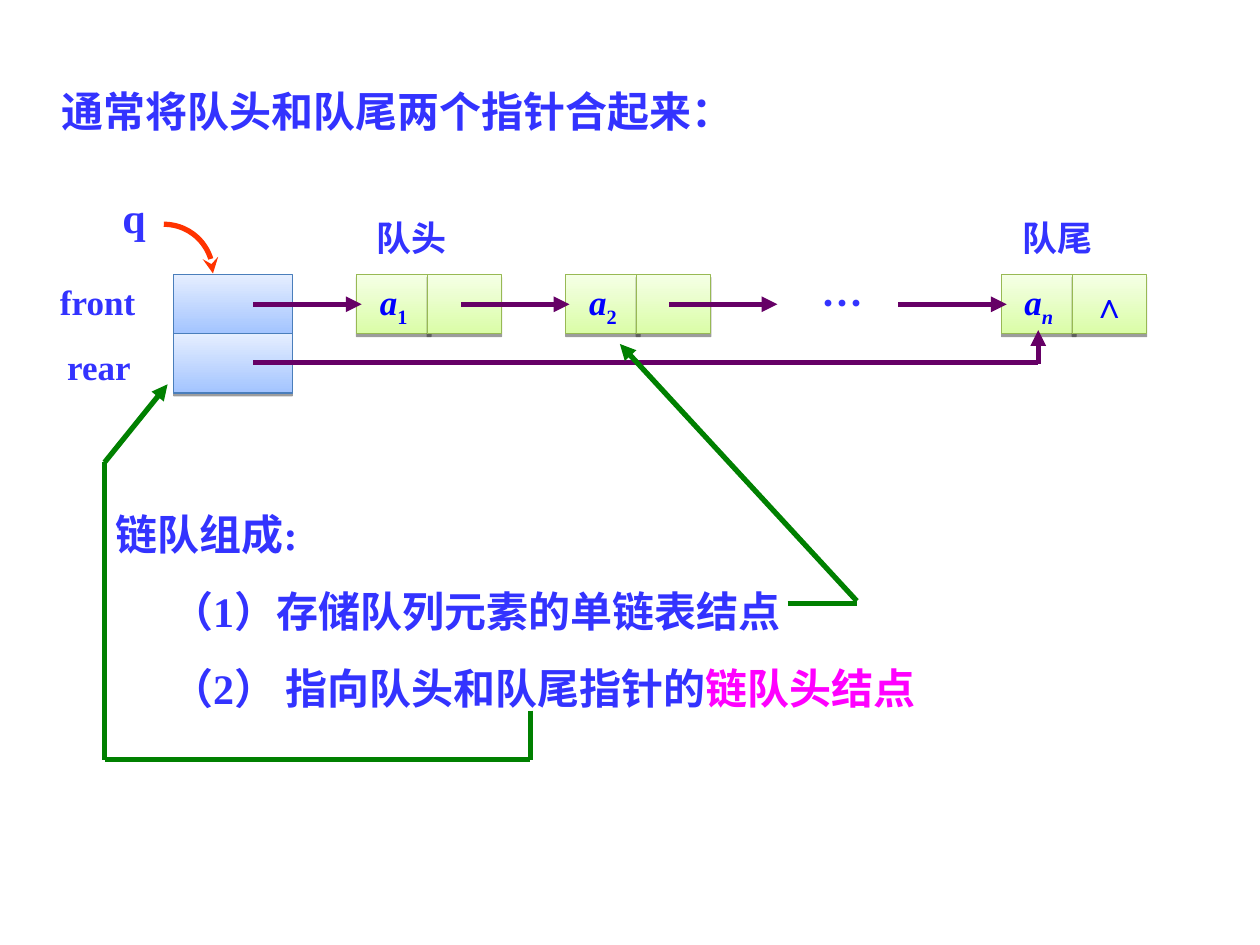
from math import cos, pi, sin
from lxml.etree import SubElement
from pptx import Presentation
from pptx.dml.color import RGBColor
from pptx.enum.shapes import MSO_CONNECTOR as Link, MSO_SHAPE as Shape
from pptx.enum.text import MSO_ANCHOR as Anchor, PP_ALIGN as Align
from pptx.oxml.ns import qn
from pptx.util import Inches, Pt

SANS, SERIF = "Noto Sans CJK SC", "Times New Roman"
BLUE, INK, PINK = "3333FF", "0000FF", "FF00FF"
PURPLE, GREEN, RED = "660066", "008000", "FF3300"
HEADER = ("A3C4FF", "E5EEFF", "4A7EBB")
NODE = ("DAFDA7", "F5FFE6", "98B954")

TITLE = "通常将队头和队尾两个指针合起来："
LABELS = [
    ("…", SANS, 24, (6.21, 2.15, 0.95, 0.5)),
    ("q", SERIF, 24, (0.83, 1.47, 0.47, 0.5)),
    ("队头", SANS, 20, (2.72, 1.67, 1.1, 0.44)),
    ("队尾", SANS, 20, (7.84, 1.67, 1.1, 0.44)),
    ("front", SERIF, 20, (0.34, 2.18, 0.87, 0.44)),
    ("rear", SERIF, 20, (0.35, 2.69, 0.87, 0.44)),
]
BODY = [
    (0.23, [("链队组成:", BLUE)]),
    (0.67, [("（1）存储队列元素的单链表结点", BLUE)]),
    (0.67, [("（2） 指向队头和队尾指针的", BLUE), ("链队头结点", PINK)]),
]
NODES = [(2.83, "1", False, ""), (4.49, "2", False, ""), (7.95, "n", True, "∧")]
TOP, ROW, CELL, STEP = 2.18, 0.47, 0.59, 0.56
POINTERS, REACH = [2.01, 3.66, 5.31, 7.13], 0.86
MIDDLE = TOP + ROW / 2
LINES = [(PURPLE, (x, MIDDLE), (x + REACH, MIDDLE), True) for x in POINTERS] + [
    (PURPLE, (2.01, 2.88), (8.24, 2.88), False),
    (PURPLE, (8.24, 2.89), (8.24, 2.62), True),
    (GREEN, (6.25, 4.79), (6.8, 4.79), False),
    (GREEN, (6.8, 4.77), (4.92, 2.73), True),
    (GREEN, (4.21, 5.64), (4.21, 6.03), False),
    (GREEN, (0.83, 6.03), (4.21, 6.03), False),
    (GREEN, (0.83, 3.67), (0.83, 6.03), False),
    (GREEN, (0.83, 3.67), (1.33, 3.05), True),
]
CURVE = (1.3, 2.17, 0.39)


def rgb(value):
    return RGBColor.from_string(value)


def inches(values):
    return [Inches(value) for value in values]


def add_span(para, text, font, size, color, italic=False, baseline=None):
    span = para.add_run()
    span.text = text
    formats = {"name": font, "size": Pt(size), "bold": True, "italic": italic}
    for name, value in formats.items():
        setattr(span.font, name, value)
    span.font.color.rgb = rgb(color)
    props = span.font._element
    SubElement(props, qn("a:ea"), typeface=SANS)
    if baseline:
        props.set("baseline", str(baseline))


def format_frame(frame, **formats):
    for name, value in formats.items():
        setattr(frame, name, value)


def add_label(page, text, font, size, place):
    box = page.shapes.add_textbox(*inches(place))
    format_frame(box.text_frame, word_wrap=True)
    para = box.text_frame.paragraphs[0]
    para.alignment = Align.CENTER
    add_span(para, text, font, size, BLUE)


def add_cell(page, place, colors):
    box = page.shapes.add_shape(Shape.RECTANGLE, *inches(place))
    box.fill.gradient()
    box.fill.gradient_angle = 90
    for stop, color in zip(box.fill.gradient_stops, colors):
        stop.color.rgb = rgb(color)
    box.line.color.rgb = rgb(colors[2])
    box.line.width = Pt(0.75)
    box.shadow.inherit = False
    effects = box._element.spPr.find(qn("a:effectLst"))
    shadow = SubElement(effects, qn("a:outerShdw"), dist=str(Pt(1.6)), dir="5400000",
                        rotWithShape="0")
    tint = SubElement(shadow, qn("a:srgbClr"), val="000000")
    SubElement(tint, qn("a:alpha"), val="38000")
    format_frame(box.text_frame, word_wrap=False, vertical_anchor=Anchor.MIDDLE)
    para = box.text_frame.paragraphs[0]
    para.alignment = Align.CENTER
    return para


def style_line(shape, color, head=None):
    shape.line.color.rgb = rgb(color)
    shape.line.width = Pt(3)
    if head:
        SubElement(shape.line._get_or_add_ln(), qn("a:tailEnd"), type=head)
    SubElement(shape._element.spPr, qn("a:effectLst"))


def add_curve(page, left, bottom, radius):
    angles = [pi / 2 * step / 24 for step in range(25)]
    points = [inches((left + radius * sin(a), bottom - radius * cos(a))) for a in angles]
    builder = page.shapes.build_freeform(*points[0])
    builder.add_line_segments(points[1:], close=False)
    curve = builder.convert_to_shape()
    curve.fill.background()
    style_line(curve, RED, "stealth")


def add_body(page):
    box = page.shapes.add_textbox(*inches((0.59, 3.99, 8.75, 1.72)))
    frame = box.text_frame
    format_frame(frame, word_wrap=True)
    for index, (indent, spans) in enumerate(BODY):
        para = frame.add_paragraph() if index else frame.paragraphs[0]
        para.alignment = Align.JUSTIFY
        para.space_before = Pt(15 if index else 0)
        para._p.get_or_add_pPr().set("marL", str(Inches(indent)))
        for text, color in spans:
            add_span(para, text, SERIF, 24, color)


def main():
    """Build the linked-queue slide and save it."""
    deck = Presentation()
    deck.slide_width, deck.slide_height = inches((10, 7.5))
    page = deck.slides.add_slide(deck.slide_layouts[5])
    title = page.shapes.title
    title.left, title.top, title.width, title.height = inches((0.39, 0.63, 5.78, 0.5))
    format_frame(title.text_frame, word_wrap=True, vertical_anchor=Anchor.TOP)
    para = title.text_frame.paragraphs[0]
    para.alignment = Align.LEFT
    add_span(para, TITLE, SANS, 24, BLUE)

    for row in range(2):
        add_cell(page, (1.38, TOP + row * ROW, 0.94, ROW), HEADER)
    for left, index, italic, mark in NODES:
        para = add_cell(page, (left, TOP, CELL, ROW), NODE)
        add_span(para, "a", SERIF, 20, INK, italic=True)
        add_span(para, index, SERIF, 20, INK, italic, -25000)
        para = add_cell(page, (left + STEP, TOP, CELL, ROW), NODE)
        if mark:
            add_span(para, mark, SERIF, 20, INK)
    for label in LABELS:
        add_label(page, *label)
    add_body(page)
    for color, start, end, arrow in LINES:
        line = page.shapes.add_connector(Link.STRAIGHT, *inches(start + end))
        style_line(line, color, "triangle" if arrow else None)
    add_curve(page, *CURVE)
    deck.save("out.pptx")


if __name__ == "__main__":
    main()
